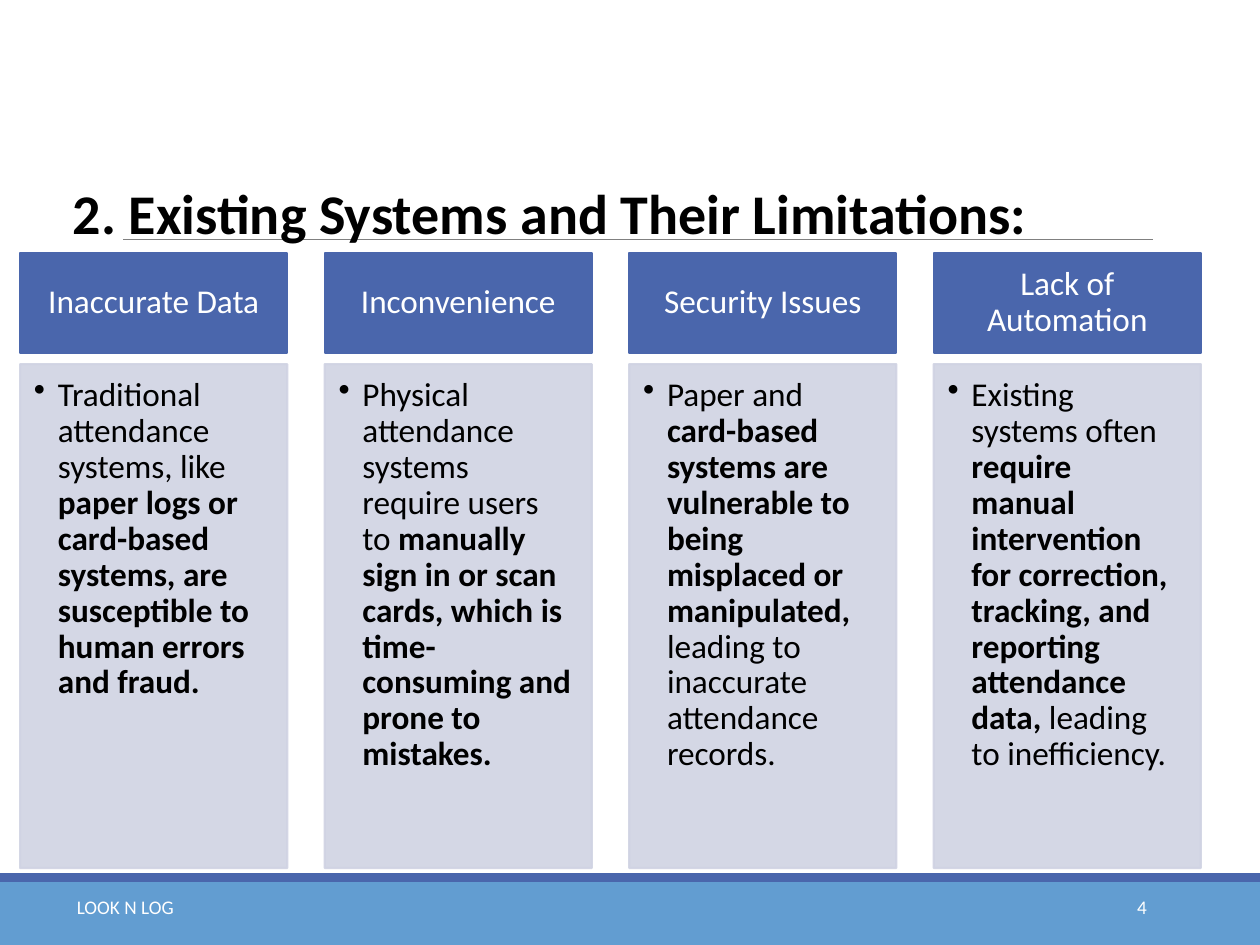
import pptx
import pptx.util
import pptx.dml.color
import pptx.enum.shapes
import pptx.enum.text
import pptx.oxml.ns
import lxml.etree

Inches = pptx.util.Inches
Align = pptx.enum.text.PP_ALIGN
Anchor = pptx.enum.text.MSO_ANCHOR

COLORS = {"navy": "4A66AC", "sky": "629DD1", "pale": "D0D3E3",
          "rule": "808080", "white": "FFFFFF", "black": "000000"}
FONT = "Calibri"
TITLE = "2. Existing Systems and Their Limitations:"
FOOTER = "LOOK N LOG"
PAGE_NUMBER = "4"

# Heading, then runs of (text, bold)
LIMITATIONS = [
    ("Inaccurate Data", [
        ("Traditional attendance systems, like ", False),
        ("paper logs or card-based systems, are susceptible to human errors and fraud.", True)]),
    ("Inconvenience", [
        ("Physical attendance systems require users to ", False),
        ("manually sign in or scan cards, which is time-consuming and prone to mistakes.", True)]),
    ("Security Issues", [
        ("Paper and ", False),
        ("card-based systems are vulnerable to being misplaced or manipulated, ", True),
        ("leading to inaccurate attendance records.", False)]),
    ("Lack of Automation", [
        ("Existing systems often ", False),
        ("require manual intervention for correction, tracking, and reporting attendance data,", True),
        (" leading to inefficiency.", False)]),
]

WIDTH, HEIGHT = 10, 7.5
BAND_HEIGHT, STRIPE_HEIGHT = 0.5, 0.07
BAND_TOP = HEIGHT - BAND_HEIGHT
GRID_LEFT, COLUMN_WIDTH = 0.16, 2.12
COLUMN_STEP = COLUMN_WIDTH * 1.14
HEAD_TOP, HEAD_HEIGHT = 2.01, 0.79
BODY_TOP, BODY_HEIGHT = 2.89, 4
INDENT = 0.19
TEXT_INSETS = (0.1, 0.05, 0.1, 0.05)
HEAD_INSETS = (0.15, 0.08, 0.15, 0.08)
BODY_INSETS = (0.11, 0.11, 0.15, 0.17)


def rgb(name):
    return pptx.dml.color.RGBColor.from_string(COLORS[name])


def add_rect(page, area, color, outlined=False):
    rect = page.shapes.add_shape(pptx.enum.shapes.MSO_SHAPE.RECTANGLE, *map(Inches, area))
    rect.shadow.inherit = False
    rect.fill.solid()
    rect.fill.fore_color.rgb = rgb(color)
    if outlined:
        rect.line.color.rgb = rgb(color)
        rect.line.width = pptx.util.Pt(1.25)
    else:
        rect.line.fill.background()
    return rect


def write(box, runs, size, color, align=Align.LEFT, anchor=Anchor.TOP, insets=TEXT_INSETS):
    frame = box.text_frame
    frame.word_wrap = True
    frame.vertical_anchor = anchor
    (frame.margin_left, frame.margin_top,
     frame.margin_right, frame.margin_bottom) = map(Inches, insets)
    para = frame.paragraphs[0]
    para.alignment = align
    for text, bold in runs:
        span = para.add_run()
        span.text = text
        span.font.name = FONT
        span.font.size = pptx.util.Pt(size)
        span.font.bold = bold
        span.font.color.rgb = rgb(color)
    return para


def add_text(page, area, text, size, color, bold=False, align=Align.LEFT):
    box = page.shapes.add_textbox(*map(Inches, area))
    write(box, [(text, bold)], size, color, align)


def add_bullet(para):
    props = para._p.get_or_add_pPr()
    props.set("marL", str(Inches(INDENT)))
    props.set("indent", str(-Inches(INDENT)))
    bullet = lxml.etree.SubElement(props, pptx.oxml.ns.qn("a:buChar"))
    bullet.set("char", "•")


def make_translucent(shape, percent):
    for color in shape._element.spPr.iter(pptx.oxml.ns.qn("a:srgbClr")):
        alpha = lxml.etree.SubElement(color, pptx.oxml.ns.qn("a:alpha"))
        alpha.set("val", str(percent * 1000))


def add_limitation(page, left, heading, runs):
    head = add_rect(page, (left, HEAD_TOP, COLUMN_WIDTH, HEAD_HEIGHT), "navy", True)
    para = write(head, [(heading, False)], 19, "white", Align.CENTER, Anchor.MIDDLE, HEAD_INSETS)
    para.line_spacing = 0.9

    body = add_rect(page, (left, BODY_TOP, COLUMN_WIDTH, BODY_HEIGHT), "pale", True)
    make_translucent(body, 90)
    para = write(body, runs, 19, "black", insets=BODY_INSETS)
    para.line_spacing = 0.9
    add_bullet(para)


def main():
    deck = pptx.Presentation()
    deck.slide_width, deck.slide_height = Inches(WIDTH), Inches(HEIGHT)
    page = deck.slides.add_slide(deck.slide_layouts[6])

    add_rect(page, (0, BAND_TOP, WIDTH, BAND_HEIGHT), "sky")
    add_rect(page, (0, BAND_TOP - STRIPE_HEIGHT, WIDTH, STRIPE_HEIGHT), "navy")

    rule = page.shapes.add_connector(pptx.enum.shapes.MSO_CONNECTOR.STRAIGHT,
                                     *map(Inches, (0.98, 1.9, 9.15, 1.9)))
    rule.line.color.rgb = rgb("rule")
    rule.line.width = pptx.util.Pt(0.5)
    lxml.etree.SubElement(rule._element.spPr, pptx.oxml.ns.qn("a:effectLst"))

    for column, (heading, runs) in enumerate(LIMITATIONS):
        add_limitation(page, GRID_LEFT + column * COLUMN_STEP, heading, runs)

    add_text(page, (0.48, 1.37, 9.06, 0.64), TITLE, 32, "black", bold=True)
    add_text(page, (0, 7.06, 1.99, 0.4), FOOTER, 11, "white", align=Align.CENTER)
    add_text(page, (8.12, 7.06, 1.08, 0.4), PAGE_NUMBER, 11, "white", align=Align.RIGHT)

    deck.save("out.pptx")


if __name__ == "__main__":
    main()
